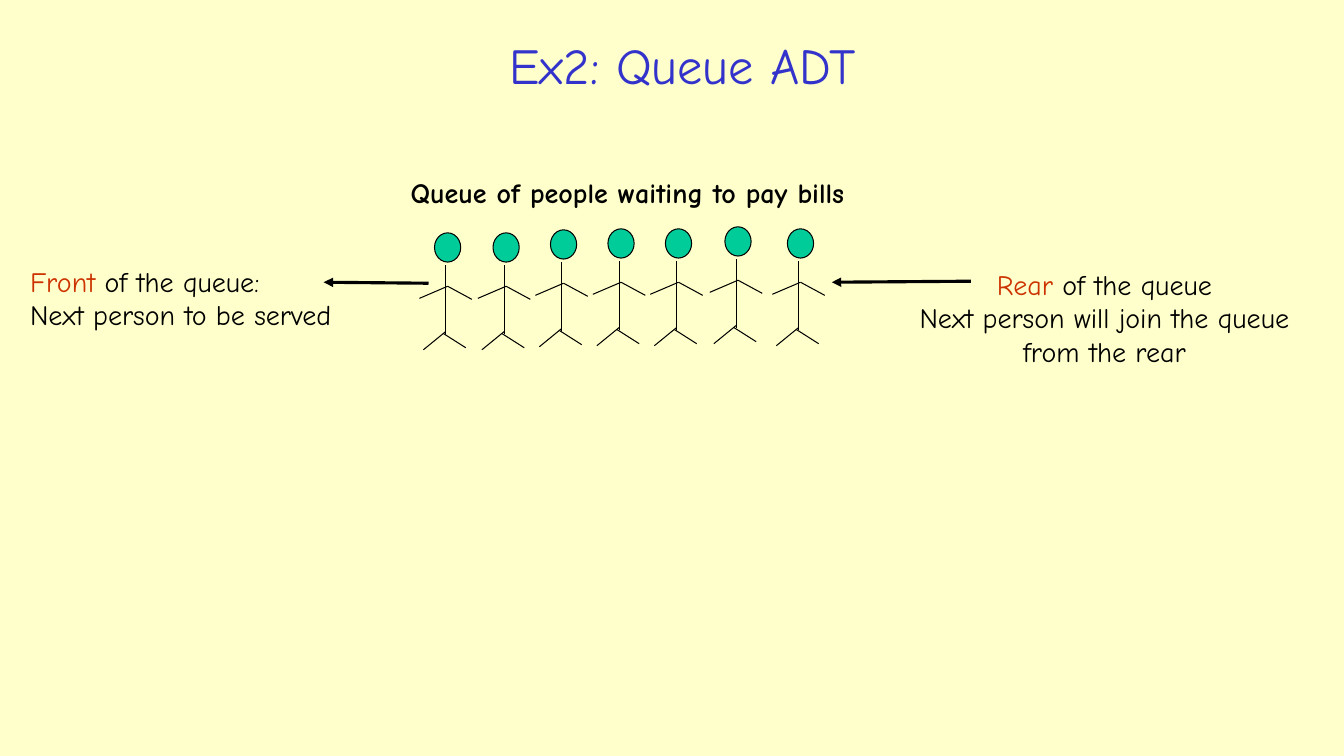
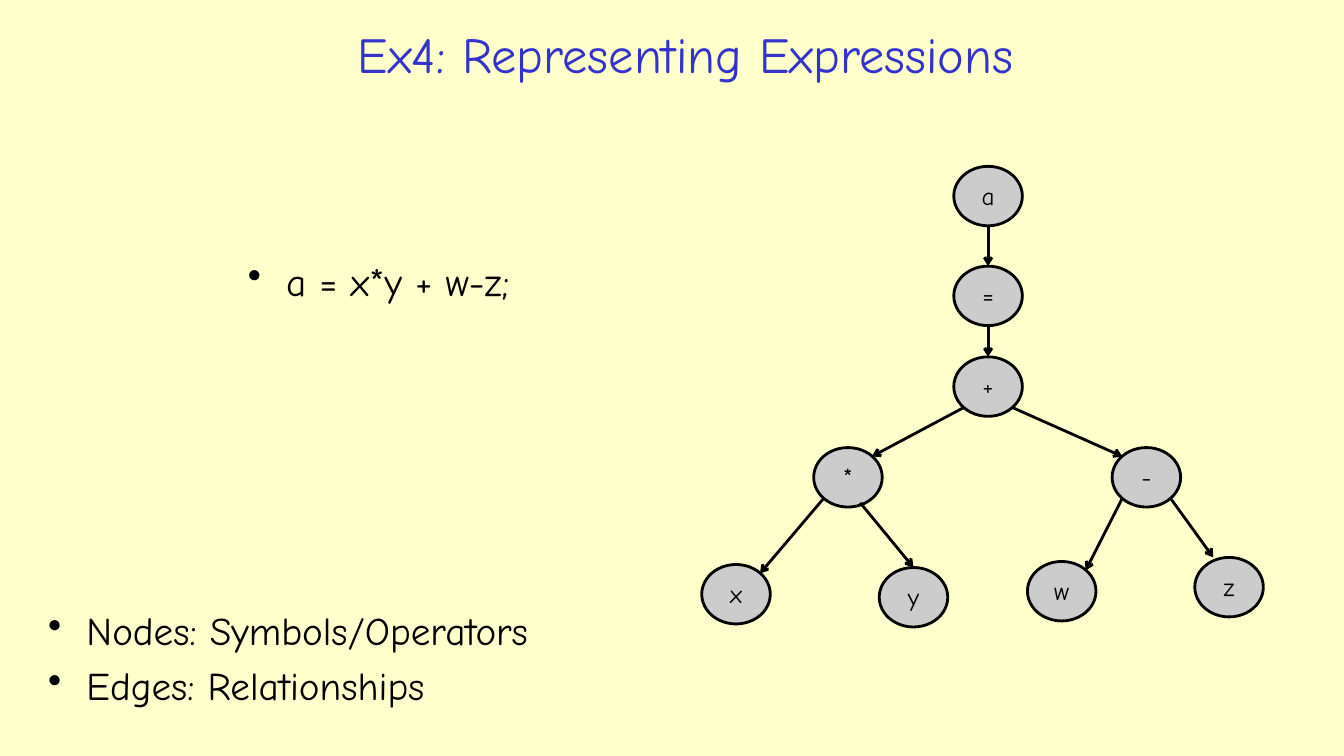
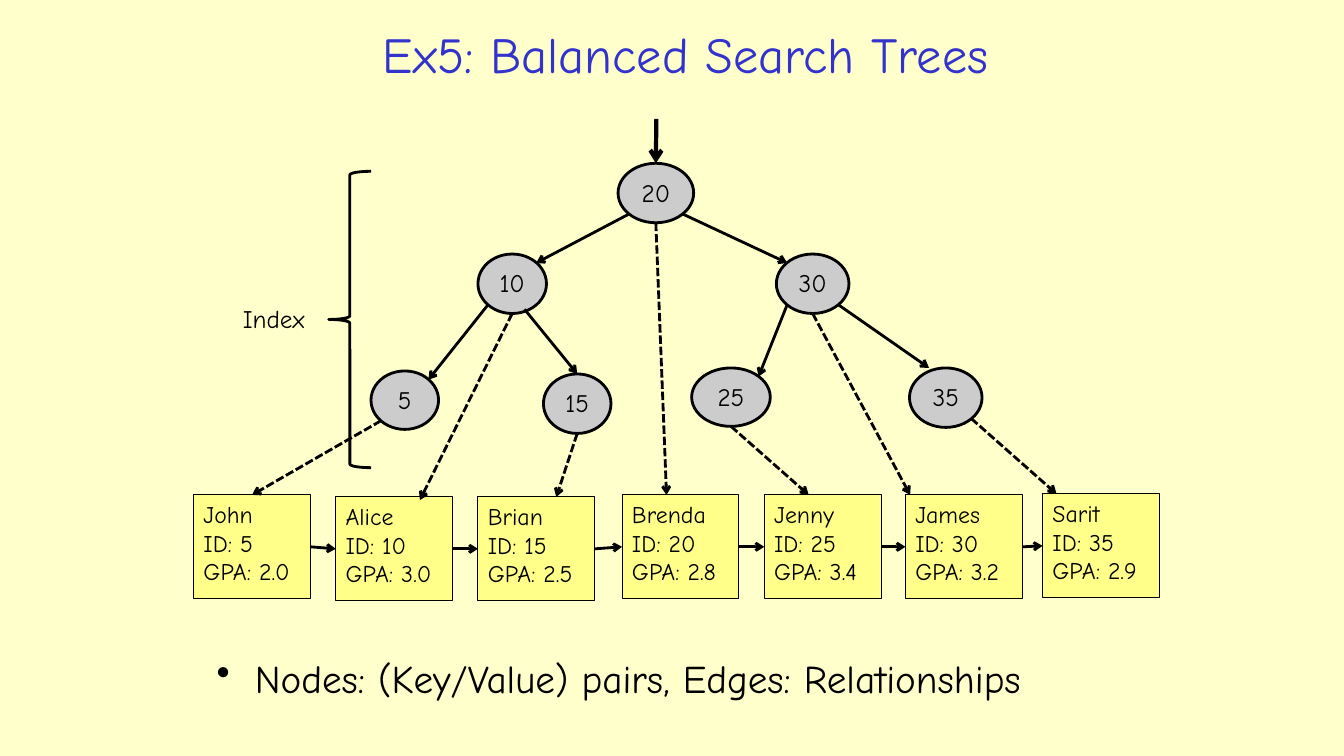
from dataclasses import dataclass
from itertools import pairwise

from lxml.etree import SubElement
from pptx import Presentation
from pptx.dml.color import RGBColor as RGB
from pptx.enum.dml import MSO_LINE as Dash
from pptx.enum.shapes import MSO_CONNECTOR as Conn, MSO_SHAPE as Kind
from pptx.enum.text import MSO_ANCHOR as Anchor, PP_ALIGN as Align
from pptx.oxml.ns import qn
from pptx.util import Inches, Pt

Point = tuple[float, float]


@dataclass(frozen=True)
class Theme:
    font: str = "Comic Neue"
    back: RGB = RGB(0xFF, 0xFF, 0xCC)
    title: RGB = RGB(0x33, 0x33, 0xCC)
    ink: RGB = RGB(0, 0, 0)
    accent: RGB = RGB(0xCC, 0x33, 0x00)
    head: RGB = RGB(0x00, 0xCC, 0x99)
    node: RGB = RGB(0xCC, 0xCC, 0xCC)
    card: RGB = RGB(0xFF, 0xFF, 0x89)
    title_pt: float = 36
    body_pt: float = 28
    note_pt: float = 20
    node_pt: float = 18
    card_pt: float = 17
    thin: float = 0.75
    edge: float = 2
    queue: float = 2.25
    entry: float = 3


THEME = Theme()


@dataclass(frozen=True)
class Box:
    left: float
    top: float
    width: float
    height: float

    def at(self, spot: Point) -> Point:
        """Place of a spot given as fractions of width and height."""
        return self.left + spot[0] * self.width, self.top + spot[1] * self.height

    def size(self) -> list[int]:
        return [Inches(v) for v in (self.left, self.top, self.width, self.height)]


@dataclass(frozen=True)
class Edge:
    start: str
    out: Point
    end: str
    into: Point


@dataclass(frozen=True)
class Card:
    name: str
    key: int
    gpa: str
    left: float
    top: float
    out: Point    # spot on the tree node
    into: Point   # spot on the card

    def box(self) -> Box:
        return Box(self.left, self.top, 1.16, 1.03)


# Spots on an outline: the diagonals, the middles and two off-centre ones
TL, TR, BL, BR = (0.15, 0.15), (0.85, 0.15), (0.15, 0.85), (0.85, 0.85)
TOP, BASE = (0.5, 0), (0.5, 1)
LOW, HIGH = (0.68, 0.93), (0.27, 0)


# Shared drawing functions
def style(run, size: float, color: RGB = THEME.ink, bold: bool = False) -> None:
    run.font.name = THEME.font
    run.font.size = Pt(size)
    run.font.color.rgb = color
    run.font.bold = bold


def write(frame, text: str, size: float, color: RGB = THEME.ink,
          align=Align.LEFT, anchor=Anchor.TOP, wrap: bool = True,
          bold: bool = False) -> None:
    frame.text = text
    frame.word_wrap = wrap
    frame.vertical_anchor = anchor
    for para in frame.paragraphs:
        para.alignment = align
        for run in para.runs:
            style(run, size, color, bold)


def label(slide, box: Box, text: str, size: float, **look):
    frame = slide.shapes.add_textbox(*box.size()).text_frame
    write(frame, text, size, **look)
    return frame


def note(slide, box: Box, lead: str, text: str, align) -> None:
    """Text whose first word stands out in the accent colour."""
    frame = label(slide, box, text, THEME.note_pt, align=align)
    para = frame.paragraphs[0]
    rest = para.text
    para.text = lead
    style(para.runs[0], THEME.note_pt, THEME.accent)
    run = para.add_run()
    run.text = rest
    style(run, THEME.note_pt)


def bullets(slide, box: Box, text: str) -> None:
    frame = label(slide, box, text, THEME.body_pt)
    for para in frame.paragraphs:
        para.space_before = Pt(0.2 * THEME.body_pt)
        props = para._p.get_or_add_pPr()
        props.set("marL", str(Inches(0.38)))
        props.set("indent", str(-Inches(0.38)))
        SubElement(props, qn("a:buChar"), char="•")


def shape(shapes, kind, box: Box, fill: RGB | None, width: float):
    item = shapes.add_shape(kind, *box.size())
    item.shadow.inherit = False
    if fill is None:
        item.fill.background()
    else:
        item.fill.solid()
        item.fill.fore_color.rgb = fill
    item.line.color.rgb = THEME.ink
    item.line.width = Pt(width)
    return item


def line(shapes, start: Point, end: Point, width: float,
         tip: str = "", dash: bool = False):
    ends = [Inches(v) for v in (*start, *end)]
    item = shapes.add_connector(Conn.STRAIGHT, *ends)
    item.line.color.rgb = THEME.ink
    item.line.width = Pt(width)
    if dash:
        item.line.dash_style = Dash.SQUARE_DOT
    props = item.element.spPr
    if tip:
        SubElement(props.find(qn("a:ln")), qn("a:tailEnd"), type=tip)
    SubElement(props, qn("a:effectLst"))
    return item


def tree(slide, nodes: dict[str, Box], edges: list[Edge]) -> None:
    for text, box in nodes.items():
        item = shape(slide.shapes, Kind.OVAL, box, THEME.node, THEME.edge)
        write(item.text_frame, text, THEME.node_pt, align=Align.CENTER, wrap=False)
    for edge in edges:
        line(slide.shapes, nodes[edge.start].at(edge.out),
             nodes[edge.end].at(edge.into), THEME.edge, "arrow")


def start(deck, title: str, left: float = 2.21, top: float = 0.15):
    slide = deck.slides.add_slide(deck.slide_layouts[6])
    label(slide, Box(left, top, 9.18, 0.76), title, THEME.title_pt,
          color=THEME.title, align=Align.CENTER, anchor=Anchor.MIDDLE)
    return slide


# Slide 1: people in a queue
HEADS = [(4.31, 2.31), (4.89, 2.31), (5.46, 2.28), (6.03, 2.27),
         (6.6, 2.27), (7.19, 2.25), (7.81, 2.27)]
LIMBS = [  # offsets from the head's corner
    ((-0.15, 0.65), (0.13, 0.53)),
    ((0.11, 0.32), (0.11, 1.0)),
    ((0.13, 0.53), (0.37, 0.66)),
    ((0.11, 0.98), (-0.11, 1.16)),
    ((0.09, 1.0), (0.31, 1.14)),
]


def person(slide, x: float, y: float) -> None:
    parts = slide.shapes.add_group_shape().shapes
    for (ax, ay), (bx, by) in LIMBS:
        line(parts, (x + ax, y + ay), (x + bx, y + by), THEME.thin)
    shape(parts, Kind.OVAL, Box(x, y, 0.26, 0.29), THEME.head, THEME.thin)


def queue(deck) -> None:
    slide = start(deck, "Ex2: Queue ADT", 2.18, 0.26)
    for x, y in HEADS:
        person(slide, x, y)
    line(slide.shapes, (4.25, 2.81), (3.21, 2.8), THEME.queue, "triangle")
    line(slide.shapes, (9.63, 2.79), (8.25, 2.8), THEME.queue, "triangle")
    note(slide, Box(0.2, 2.57, 3.6, 0.77), "Front",
         " of the queue:\nNext person to be served", Align.LEFT)
    note(slide, Box(8.72, 2.6, 4.47, 1.11), "Rear",
         " of the queue\nNext person will join the queue\nfrom the rear",
         Align.CENTER)
    label(slide, Box(3.49, 1.69, 5.47, 0.44),
          "Queue of people waiting to pay bills", THEME.note_pt,
          align=Align.CENTER, bold=True)


# Slide 2: expression tree
def formula(deck) -> None:
    slide = start(deck, "Ex4: Representing Expressions")
    bullets(slide, Box(2.36, 2.5, 3.29, 0.75), "a = x*y + w-z;")
    spots = {
        "a": (9.46, 1.65), "=": (9.46, 2.64), "+": (9.46, 3.54),
        "*": (8.07, 4.44), "-": (11.03, 4.44), "x": (6.96, 5.6),
        "y": (8.72, 5.63), "w": (10.19, 5.57), "z": (11.85, 5.53),
    }
    nodes = {text: Box(x, y, 0.68, 0.59) for text, (x, y) in spots.items()}
    tree(slide, nodes, [
        Edge("a", BASE, "=", TOP), Edge("=", BASE, "+", TOP),
        Edge("+", BL, "*", TR), Edge("+", BR, "-", TL),
        Edge("*", BL, "x", TR), Edge("*", LOW, "y", TOP),
        Edge("-", BL, "w", TR), Edge("-", BR, "z", HIGH),
    ])
    bullets(slide, Box(0.38, 5.97, 6.07, 1.37),
            "Nodes: Symbols/Operators\nEdges: Relationships")


# Slide 3: search tree over linked records
CARDS = [
    Card("John", 5, "2.0", 1.92, 4.91, BL, TOP),
    Card("Alice", 10, "3.0", 3.33, 4.93, BASE, (0.72, 0.03)),
    Card("Brian", 15, "2.5", 4.74, 4.93, BASE, (0.67, 0)),
    Card("Brenda", 20, "2.8", 6.17, 4.91, BASE, (0.38, 0)),
    Card("Jenny", 25, "3.4", 7.58, 4.91, BASE, (0.38, 0)),
    Card("James", 30, "3.2", 8.98, 4.91, BASE, (0.04, 0)),
    Card("Sarit", 35, "2.9", 10.34, 4.9, BR, (0.12, 0)),
]


def search(deck) -> None:
    slide = start(deck, "Ex5: Balanced Search Trees")
    shapes = slide.shapes
    nodes = {
        "20": Box(6.13, 1.62, 0.75, 0.59),
        "10": Box(4.74, 2.52, 0.68, 0.59),
        "30": Box(7.7, 2.52, 0.72, 0.59),
        "5": Box(3.68, 3.68, 0.67, 0.58),
        "15": Box(5.39, 3.71, 0.67, 0.59),
        "25": Box(6.86, 3.65, 0.78, 0.58),
        "35": Box(9.02, 3.65, 0.72, 0.59),
    }
    tree(slide, nodes, [
        Edge("20", BL, "10", TR), Edge("20", BR, "30", TL),
        Edge("10", BL, "5", TR), Edge("10", LOW, "15", TOP),
        Edge("30", BL, "25", TR), Edge("30", BR, "35", HIGH),
    ])
    line(shapes, (6.51, 1.18), nodes["20"].at(TOP), THEME.entry, "arrow")

    # Records and the pointers to them
    items = []
    for card in CARDS:
        item = shape(shapes, Kind.RECTANGLE, card.box(), THEME.card, THEME.thin)
        write(item.text_frame, f"{card.name}\nID: {card.key}\nGPA: {card.gpa}",
              THEME.card_pt)
        items.append(item)
        link = line(shapes, nodes[str(card.key)].at(card.out),
                    card.box().at(card.into), THEME.edge, "arrow", dash=True)
        if card.into == TOP:
            link.end_connect(item, 0)
    for prev, succ in pairwise(items):
        link = line(shapes, (0, 0), (1, 1), THEME.edge, "arrow")
        link.begin_connect(prev, 3)
        link.end_connect(succ, 1)

    # Index brace and summary
    shape(shapes, Kind.LEFT_BRACE, Box(3.26, 1.7, 0.42, 2.94), None, THEME.edge)
    label(slide, Box(2.31, 2.96, 0.91, 0.4), "Index", THEME.node_pt, wrap=False)
    bullets(slide, Box(2.05, 6.44, 9.27, 0.6),
            "Nodes: (Key/Value) pairs, Edges: Relationships")


def main() -> None:
    deck = Presentation()
    deck.slide_width, deck.slide_height = Inches(13.33), Inches(7.5)
    fill = deck.slide_master.background.fill
    fill.solid()
    fill.fore_color.rgb = THEME.back
    for build in (queue, formula, search):
        build(deck)
    deck.save("out.pptx")


if __name__ == "__main__":
    main()
